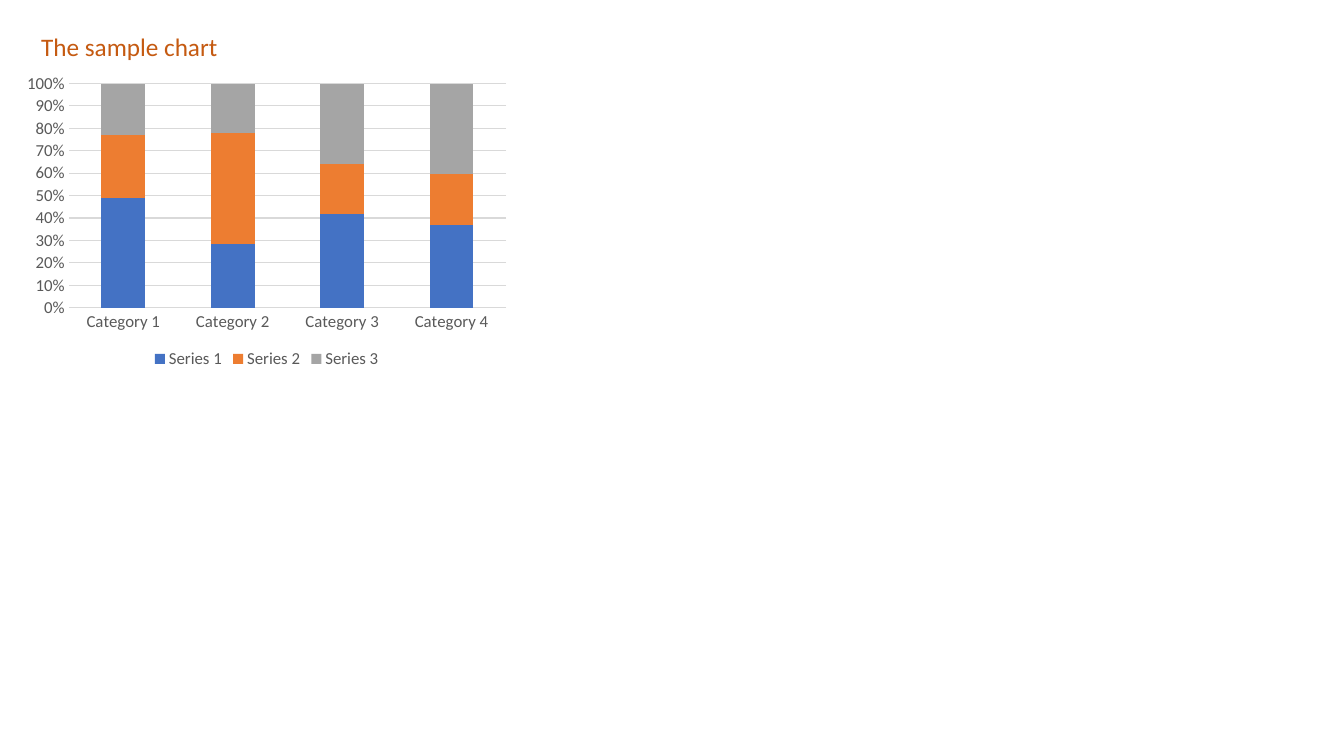
from dataclasses import dataclass

from pptx import Presentation
from pptx.chart.data import CategoryChartData
from pptx.dml.color import RGBColor
from pptx.enum import chart as charts, text as texts
from pptx.util import Inches, Pt


@dataclass(frozen=True)
class Theme:
    font: str = "Calibri"
    heading: str = "C55A11"
    label: str = "595959"
    grid: str = "D9D9D9"
    series: tuple = ("4472C4", "ED7D31", "A5A5A5")
    heading_size: int = 18
    label_size: int = 12


THEME = Theme()
CATEGORIES = [f"Category {number}" for number in range(1, 5)]
SHARES = {
    "Series 1": (49, 28, 42, 37),
    "Series 2": (28, 49, 22, 23),
    "Series 3": (23, 22, 36, 41),
}


def style_font(font, size, color):
    font.name = THEME.font
    font.size = Pt(size)
    font.color.rgb = RGBColor.from_string(color)


def add_text(slide, content, *, left, top, width, height, size, color):
    box = slide.shapes.add_textbox(
        Inches(left), Inches(top), Inches(width), Inches(height))
    frame = box.text_frame
    frame.word_wrap = True
    frame.auto_size = texts.MSO_AUTO_SIZE.SHAPE_TO_FIT_TEXT
    run = frame.paragraphs[0].add_run()
    run.text = content
    style_font(run.font, size, color)


def style_axis(axis):
    axis.major_tick_mark = axis.minor_tick_mark = charts.XL_TICK_MARK.NONE
    axis.format.line.fill.background()
    style_font(axis.tick_labels.font, THEME.label_size, THEME.label)


def add_share_chart(slide, *, left, top, width, height):
    """Add columns stacked to 100 %, with a legend below."""
    shares = CategoryChartData()
    shares.categories = CATEGORIES
    for name, values in SHARES.items():
        shares.add_series(name, values)
    chart = slide.shapes.add_chart(
        charts.XL_CHART_TYPE.COLUMN_STACKED_100,
        Inches(left), Inches(top), Inches(width), Inches(height), shares).chart
    chart.has_title = False
    style_font(chart.font, THEME.label_size, THEME.label)

    plot = chart.plots[0]
    plot.vary_by_categories = False
    plot.gap_width = 150
    plot.overlap = 100
    for series, color in zip(plot.series, THEME.series):
        series.format.fill.solid()
        series.format.fill.fore_color.rgb = RGBColor.from_string(color)

    style_axis(chart.category_axis)
    share_axis = chart.value_axis
    style_axis(share_axis)
    share_axis.tick_labels.number_format = "0%"
    share_axis.tick_labels.number_format_is_linked = False
    share_axis.has_major_gridlines = True
    gridline = share_axis.major_gridlines.format.line
    gridline.width = Pt(0.75)
    gridline.color.rgb = RGBColor.from_string(THEME.grid)

    chart.has_legend = True
    chart.legend.position = charts.XL_LEGEND_POSITION.BOTTOM
    chart.legend.include_in_layout = False
    style_font(chart.legend.font, THEME.label_size, THEME.label)


def main():
    deck = Presentation()
    deck.slide_width, deck.slide_height = Inches(13.33), Inches(7.5)
    slide = deck.slides.add_slide(deck.slide_layouts[6])
    add_text(slide, "The sample chart", left=0.31, top=0.26, width=3.62,
             height=0.4, size=THEME.heading_size, color=THEME.heading)
    add_share_chart(slide, left=0.17, top=0.67, width=4.95, height=3.03)
    deck.save("out.pptx")


if __name__ == "__main__":
    main()
